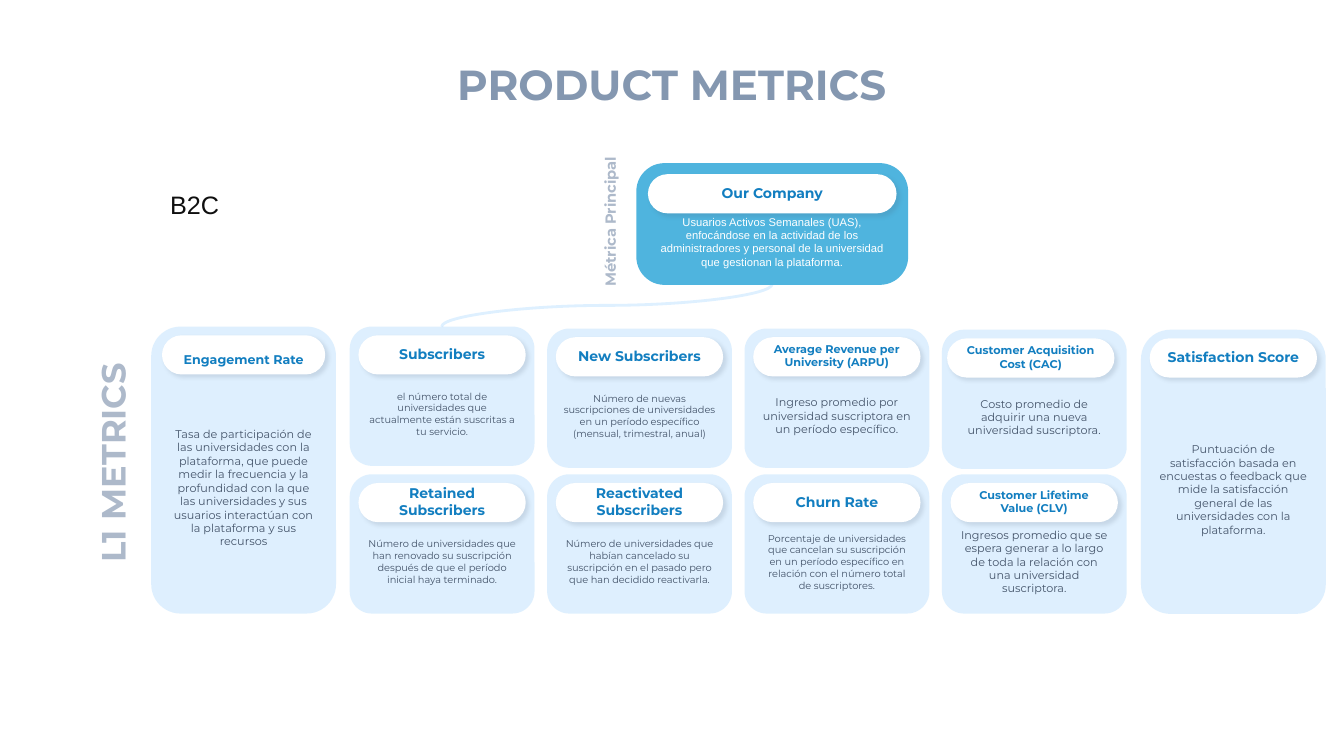
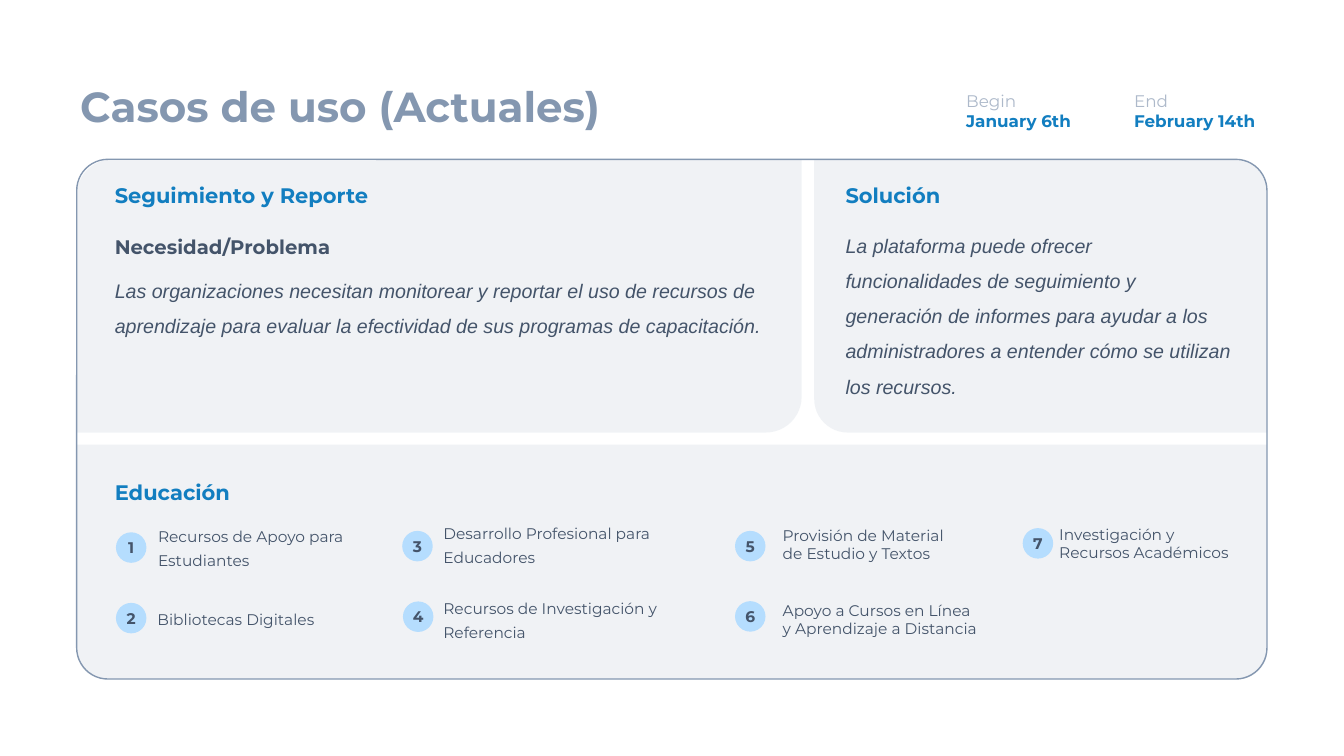
from dataclasses import dataclass
from typing import Optional, Sequence, Union

import lxml.etree
import pptx
import pptx.dml.color
import pptx.enum.shapes
import pptx.enum.text
import pptx.oxml.ns
import pptx.util

Pt = pptx.util.Pt
Form = pptx.enum.shapes.MSO_SHAPE
Align = pptx.enum.text.PP_ALIGN
Anchor = pptx.enum.text.MSO_ANCHOR
qn = pptx.oxml.ns.qn


# Theme
@dataclass(frozen=True)
class Theme:
    head: str = "Montserrat"
    plain: str = "Arial"
    title: str = "8497B0"
    ink: str = "44546A"
    blue: str = "127EC0"
    mute: str = "ADB9CA"
    main: str = "4FB4DE"
    card: str = "2299FD"
    panel: str = "D6DCE5"
    badge: str = "B5DDFE"
    curve: str = "DEF0FF"
    white: str = "FFFFFF"
    black: str = "0F0F0F"
    huge: float = 30
    side: float = 24
    label: float = 18
    topic: float = 15
    read: float = 14
    date: float = 12
    item: float = 11
    axis: float = 10.5
    pill: float = 10
    mid: float = 9
    small: float = 8
    tiny: float = 7


T = Theme()


@dataclass(frozen=True)
class Box:
    x: float
    y: float
    w: float
    h: float


@dataclass(frozen=True)
class Para:
    text: str
    size: float
    color: str = T.ink
    bold: bool = False
    slant: bool = False
    face: str = T.head
    align: Align = Align.LEFT
    lead: Union[None, float, pptx.util.Length] = None
    after: float = 0


@dataclass(frozen=True)
class Card:
    name: str
    text: str
    x: float
    y: float
    tall: float = 99.5
    head: float = T.pill
    body: float = T.small
    wide: float = 119.5
    shift: float = 0
    anchor: Anchor = Anchor.MIDDLE


@dataclass(frozen=True)
class Item:
    text: str
    dot: tuple[float, float]
    at: tuple[float, float]
    wide: float
    loose: bool = True


# Shared drawing functions
def rgb(code: str) -> pptx.dml.color.RGBColor:
    return pptx.dml.color.RGBColor.from_string(code)


def write(shape, paras: Sequence[Para], pad=(7.2, 3.6, 7.2, 3.6),
          anchor: Anchor = Anchor.TOP, wrap: bool = True) -> None:
    frame = shape.text_frame
    frame.word_wrap = wrap
    frame.vertical_anchor = anchor
    (frame.margin_left, frame.margin_top,
     frame.margin_right, frame.margin_bottom) = map(Pt, pad)
    for i, para in enumerate(paras):
        p = frame.add_paragraph() if i else frame.paragraphs[0]
        p.text = para.text
        p.alignment = para.align
        if para.lead:
            p.line_spacing = para.lead
        p.space_after = Pt(para.after)
        font = p.font
        font.name, font.size = para.face, Pt(para.size)
        font.bold, font.italic = para.bold, para.slant
        font.color.rgb = rgb(para.color)


def add_text(slide, box: Box, *paras: Para, turn: float = 0, **style):
    shape = slide.shapes.add_textbox(Pt(box.x), Pt(box.y), Pt(box.w), Pt(box.h))
    shape.rotation = turn
    write(shape, paras, **style)


def add_form(slide, kind: Form, box: Box, fill: Optional[str] = None,
             line: Optional[str] = None, clear: int = 100,
             bends: Sequence[float] = ()):
    shape = slide.shapes.add_shape(kind, Pt(box.x), Pt(box.y), Pt(box.w), Pt(box.h))
    shape.shadow.inherit = False
    for i, bend in enumerate(bends):
        shape.adjustments[i] = bend
    if fill:
        shape.fill.solid()
        shape.fill.fore_color.rgb = rgb(fill)
        if clear < 100:
            tint = shape.element.spPr.find(".//" + qn("a:srgbClr"))
            lxml.etree.SubElement(tint, qn("a:alpha"), val=str(clear * 1000))
    else:
        shape.fill.background()
    if line:
        shape.line.color.rgb = rgb(line)
        shape.line.width = Pt(1)
    else:
        shape.line.fill.background()
    return shape


def add_title(slide, box: Box, text: str) -> None:
    add_text(slide, box, Para(text, T.huge, T.title, True, align=Align.CENTER),
             pad=(14.4, 7.2, 14.4, 7.2), anchor=Anchor.MIDDLE, wrap=False)


def add_pill(slide, box: Box, text: str, size: float, inset: float = 7.2,
             anchor: Anchor = Anchor.MIDDLE) -> None:
    pill = add_form(slide, Form.ROUNDED_RECTANGLE, box, T.white, bends=[0.5])
    glow = lxml.etree.SubElement(
        pill.element.spPr.find(qn("a:effectLst")), qn("a:outerShdw"),
        blurRad=str(Pt(3)), dist=str(Pt(3)), dir="2700000", algn="tl", rotWithShape="0")
    tint = lxml.etree.SubElement(glow, qn("a:srgbClr"), val=T.ink)
    lxml.etree.SubElement(tint, qn("a:alpha"), val="15000")
    write(pill, [Para(text, size, T.blue, True, align=Align.CENTER)],
          (inset, 0, inset, 1.44), anchor)


def add_card(slide, card: Card) -> None:
    wide = 132
    shape = add_form(slide, Form.ROUNDED_RECTANGLE,
                     Box(card.x, card.y, wide, card.tall), T.card, clear=15, bends=[0.159])
    write(shape, [Para(card.text, card.body, align=Align.CENTER)],
          (7.2, 28.8, 7.2, 3.6), Anchor.MIDDLE)
    left = card.x + (wide - card.wide) / 2 + card.shift
    add_pill(slide, Box(left, card.y + 6.2, card.wide, 28), card.name, card.head,
             anchor=card.anchor)


def add_curve(slide, x1: float, y1: float, x2: float, y2: float) -> None:
    # A quarter turn makes the curve leave and arrive upright
    cx, cy = (x1 + x2) / 2, (y1 + y2) / 2
    dx, dy = (y2 - y1) / 2, (x1 - x2) / 2
    link = slide.shapes.add_connector(
        pptx.enum.shapes.MSO_CONNECTOR.CURVE,
        Pt(cx - dx), Pt(cy - dy), Pt(cx + dx), Pt(cy + dy))
    link.line.color.rgb = rgb(T.curve)
    link.line.width = Pt(2)
    props = link.element.spPr
    props.find(qn("a:xfrm")).set("rot", "5400000")
    lxml.etree.SubElement(props, qn("a:effectLst"))


# Slide 1: metrics tree
COLS = [249.8 + 141 * i for i in range(4)]
LOW = 338.8
CARDS = [
    Card("Engagement Rate", "Tasa de participación de las universidades con la plataforma, que puede medir la frecuencia y la profundidad con la que las universidades y sus usuarios interactúan con la plataforma y sus recursos",
         108, 233.3, 205, head=T.mid, wide=116.6, anchor=Anchor.BOTTOM),
    Card("Subscribers", "el número total de universidades que actualmente están suscritas a tu servicio.",
         COLS[0], 233.3, body=T.tiny),
    Card("New Subscribers", "Número de nuevas suscripciones de universidades en un período específico (mensual, trimestral, anual)",
         COLS[1], 234.7, body=T.tiny),
    Card("Average Revenue per University (ARPU)", "Ingreso promedio por universidad suscriptora en un período específico.",
         COLS[2], 234.7, head=T.small),
    Card("Customer Acquisition Cost (CAC)", "Costo promedio de adquirir una nueva universidad suscriptora.",
         COLS[3], 235.5, head=T.small, shift=-2.5),
    Card("Retained Subscribers", "Número de universidades que han renovado su suscripción después de que el período inicial haya terminado.",
         COLS[0], LOW, body=T.tiny),
    Card("Reactivated Subscribers", "Número de universidades que habían cancelado su suscripción en el pasado pero que han decidido reactivarla.",
         COLS[1], LOW, body=T.tiny),
    Card("Churn Rate", "Porcentaje de universidades que cancelan su suscripción en un período específico en relación con el número total de suscriptores.",
         COLS[2], LOW, body=T.tiny),
    Card("Customer Lifetime Value (CLV)", "Ingresos promedio que se espera generar a lo largo de toda la relación con una universidad suscriptora.",
         COLS[3], LOW, head=T.small),
    Card("Satisfaction Score", "Puntuación de satisfacción basada en encuestas o feedback que mide la satisfacción general de las universidades con la plataforma.",
         815, 235.5, 203),
]


def draw_tree(slide) -> None:
    add_curve(slide, 551.5, 203, 315.5, 233.3)
    add_title(slide, Box(310.3, 34, 339, 51), "PRODUCT METRICS")

    # Main metric
    main = add_form(slide, Form.ROUNDED_RECTANGLE, Box(454.5, 116.5, 194.2, 87),
                    T.main, bends=[0.232])
    write(main, [Para("Usuarios Activos Semanales (UAS), enfocándose en la actividad de los administradores y personal de la universidad que gestionan la plataforma.",
                      T.small, T.white, face=T.plain, align=Align.CENTER)],
          (7.2, 28.8, 7.2, 3.6), Anchor.MIDDLE)
    add_pill(slide, Box(462.8, 124.4, 177.6, 28), "Our Company", T.pill, inset=0)

    # Side labels
    for box, text, size in ((Box(0.7, 312.5, 159, 36), "L1 METRICS", T.side),
                            (Box(381.6, 148.3, 108.7, 20.2), "Métrica Principal", T.axis)):
        add_text(slide, box, Para(text, size, T.mute, True, align=Align.CENTER),
                 turn=270, wrap=False)
    add_text(slide, Box(114.5, 131.8, 77, 29),
             Para("B2C", T.label, T.black, face=T.plain))
    for card in CARDS:
        add_card(slide, card)


# Slide 2: use cases
ITEMS = [
    Item("Recursos de Apoyo para Estudiantes", (82.8, 380.2), (105.8, 369.4), 154),
    Item("Bibliotecas Digitales", (82.8, 430.6), (105.4, 428.4), 136),
    Item("Desarrollo Profesional para Educadores", (287.3, 379.2), (309.6, 367.2), 181),
    Item("Recursos de Investigación y Referencia", (287.8, 429.6), (309.6, 420.5), 170),
    Item("Provisión de Material de Estudio y Textos", (525, 379.2), (552, 372.2), 131, False),
    Item("Apoyo a Cursos en Línea y Aprendizaje a Distancia", (525, 429.4), (552, 425.5), 156, False),
    Item("Investigación y Recursos Académicos", (730.5, 377.2), (749.5, 371.5), 142, False),
]


def draw_cases(slide) -> None:
    # Panels and frame
    left, top, wide = 54.8, 113.8, 850.2
    for kind, box, bends in (
            (Form.ROUND_2_DIAG_RECTANGLE, Box(left, top, 517.8, 195.2), (0.131, 0)),
            (Form.ROUND_2_SAME_RECTANGLE, Box(left, 317.6, wide, 167.4), (0, 0.123)),
            (Form.ROUND_2_DIAG_RECTANGLE, Box(581.6, top, 323.4, 195.2), (0, 0.123))):
        add_form(slide, kind, box, T.panel, clear=35, bends=bends)
    add_form(slide, Form.ROUNDED_RECTANGLE, Box(left, top, wide, 371.2),
             line=T.title, bends=[0.06])

    # Headings and dates
    add_title(slide, Box(41, 49.7, 404, 51), "Casos de uso (Actuales)")
    for x, y, text in ((74.9, 126.7, "Seguimiento y Reporte"),
                       (596.9, 126.7, "Solución"), (74.9, 339.1, "Educación")):
        add_text(slide, Box(x, y, 220, 25.2), Para(text, T.topic, T.blue, True))
    for x, name, day in ((683, "Begin", "January 6th"), (803, "End", "February 14th")):
        add_text(slide, Box(x, 61.2, 110, 36), Para(name, T.date, T.mute),
                 Para(day, T.date, T.blue, True))

    # Need and answer
    add_text(slide, Box(74.9, 156.2, 481, 87),
             Para("Necesidad/Problema", T.read, bold=True, lead=1.5, after=6),
             Para("Las organizaciones necesitan monitorear y reportar el uso de recursos de aprendizaje para evaluar la efectividad de sus programas de capacitación.",
                  T.read, slant=True, face=T.plain, lead=1.5, after=6))
    add_text(slide, Box(596.9, 154.8, 291, 106),
             Para("La plataforma puede ofrecer funcionalidades de seguimiento y generación de informes para ayudar a los administradores a entender cómo se utilizan los recursos.",
                  T.read, slant=True, face=T.plain, lead=1.5, after=8))

    # Numbered items
    for n, item in enumerate(ITEMS, 1):
        badge = add_form(slide, Form.OVAL, Box(*item.dot, 21.8, 21.8), T.badge)
        write(badge, [Para(str(n), T.item, bold=True, align=Align.CENTER)],
              (0, 0, 0, 0), Anchor.MIDDLE)
        add_text(slide, Box(*item.at, item.wide, 40),
                 Para(item.text, T.item, lead=Pt(17) if item.loose else None,
                      after=6 if item.loose else 0))


def main() -> None:
    deck = pptx.Presentation()
    deck.slide_width, deck.slide_height = Pt(960), Pt(540)
    for draw in (draw_tree, draw_cases):
        draw(deck.slides.add_slide(deck.slide_layouts[6]))
    deck.save("out.pptx")


if __name__ == "__main__":
    main()
